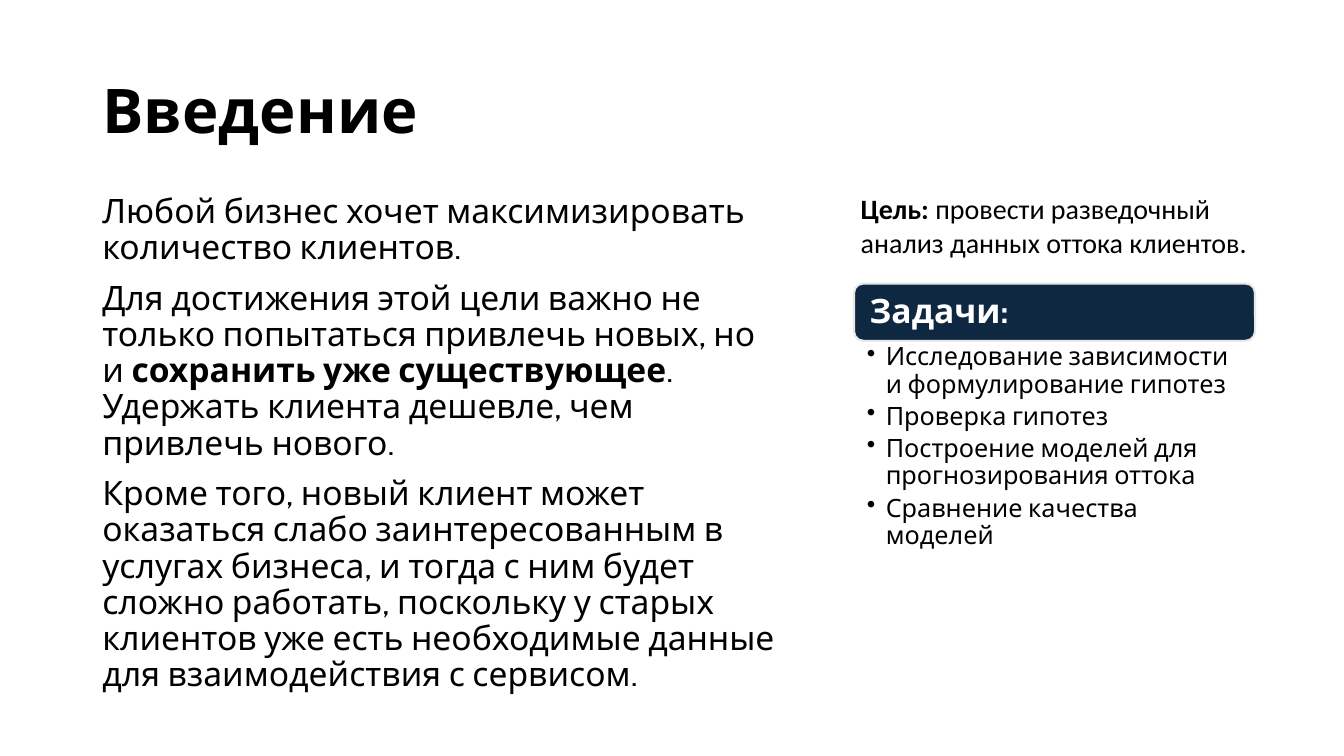
"""Builds the introduction slide: reasoning on the left, goal and tasks on the right."""
from lxml import etree
from pptx import Presentation
from pptx.dml.color import RGBColor
from pptx.enum import shapes, text
from pptx.oxml import ns
from pptx.util import Pt


def color(value):
    return RGBColor.from_string(value)


def write(frame, paragraphs, size, font="Cabin", ink="000000", spacing=None, before=0, after=0,
          insets=(7.2, 3.6, 7.2, 3.6), anchor=text.MSO_ANCHOR.TOP, bullet_indent=0):
    """Fill a frame with paragraphs, each a list of (words, bold) pairs."""
    frame.word_wrap = True
    frame.auto_size = text.MSO_AUTO_SIZE.NONE
    frame.vertical_anchor = anchor
    frame.margin_left, frame.margin_top, frame.margin_right, frame.margin_bottom = map(Pt, insets)
    for index, pieces in enumerate(paragraphs):
        para = frame.add_paragraph() if index else frame.paragraphs[0]
        para.alignment = text.PP_ALIGN.LEFT
        para.line_spacing = spacing
        para.space_before, para.space_after = Pt(before), Pt(after)
        if bullet_indent:
            properties = para._p.get_or_add_pPr()
            properties.set("marL", str(Pt(bullet_indent)))
            properties.set("indent", str(-Pt(bullet_indent)))
            etree.SubElement(properties, ns.qn("a:buChar")).set("char", "•")
        for words, bold in pieces:
            span = para.add_run()
            span.text = words
            span.font.name, span.font.size, span.font.bold = font, Pt(size), bold
            span.font.color.rgb = color(ink)


deck = Presentation()
deck.slide_width, deck.slide_height = Pt(960), Pt(540)
page = deck.slides.add_slide(deck.slide_layouts[5])

title = page.shapes.title
title.left, title.top, title.width, title.height = Pt(66), Pt(28.75), Pt(828), Pt(104.4)
write(title.text_frame, [[("Введение", True)]], 44, spacing=0.9, anchor=text.MSO_ANCHOR.MIDDLE)

reasoning = page.shapes.add_textbox(Pt(66), Pt(135.4), Pt(497), Pt(351.4))
write(reasoning.text_frame, [
    [("Любой бизнес хочет максимизировать количество клиентов.", False)],
    [("Для достижения этой цели важно не только попытаться привлечь новых, но и ", False),
     ("сохранить уже существующее", True),
     (". Удержать клиента дешевле, чем привлечь нового.", False)],
    [("Кроме того, новый клиент может оказаться слабо заинтересованным в услугах бизнеса, "
      "и тогда с ним будет сложно работать, поскольку у старых клиентов уже есть "
      "необходимые данные для взаимодействия с сервисом.", False)],
], 24, spacing=0.9, before=10)

tasks_left, tasks_top, tasks_width, header_height = Pt(610), Pt(202.5), Pt(286.5), Pt(41)
header = page.shapes.add_shape(shapes.MSO_SHAPE.ROUNDED_RECTANGLE,
                               tasks_left, tasks_top, tasks_width, header_height)
header.shadow.inherit = False
header.fill.solid()
header.fill.fore_color.rgb = color("0E2841")
header.line.color.rgb = color("E8E8E8")
header.line.width = Pt(1.5)
write(header.text_frame, [[("Задачи:", True)]], 24, ink="FFFFFF", spacing=0.9,
      insets=(9.2, 7.2, 9.2, 7.2), anchor=text.MSO_ANCHOR.MIDDLE)

tasks = page.shapes.add_textbox(tasks_left, tasks_top + header_height, tasks_width, Pt(135.4))
task_names = ["Исследование зависимости и формулирование гипотез", "Проверка гипотез",
              "Построение моделей для прогнозирования оттока", "Сравнение качества моделей"]
write(tasks.text_frame, [[(name, False)] for name in task_names], 18, spacing=0.9, after=3.6,
      insets=(9.2, 2.2, 10, 2.2), bullet_indent=13.5)

goal = page.shapes.add_textbox(Pt(607.7), Pt(133.2), Pt(291.6), Pt(55.7))
write(goal.text_frame, [[("Цель:", True),
                         (" провести разведочный анализ данных оттока клиентов.", False)]],
      20, font="Calibri")

deck.save("out.pptx")
